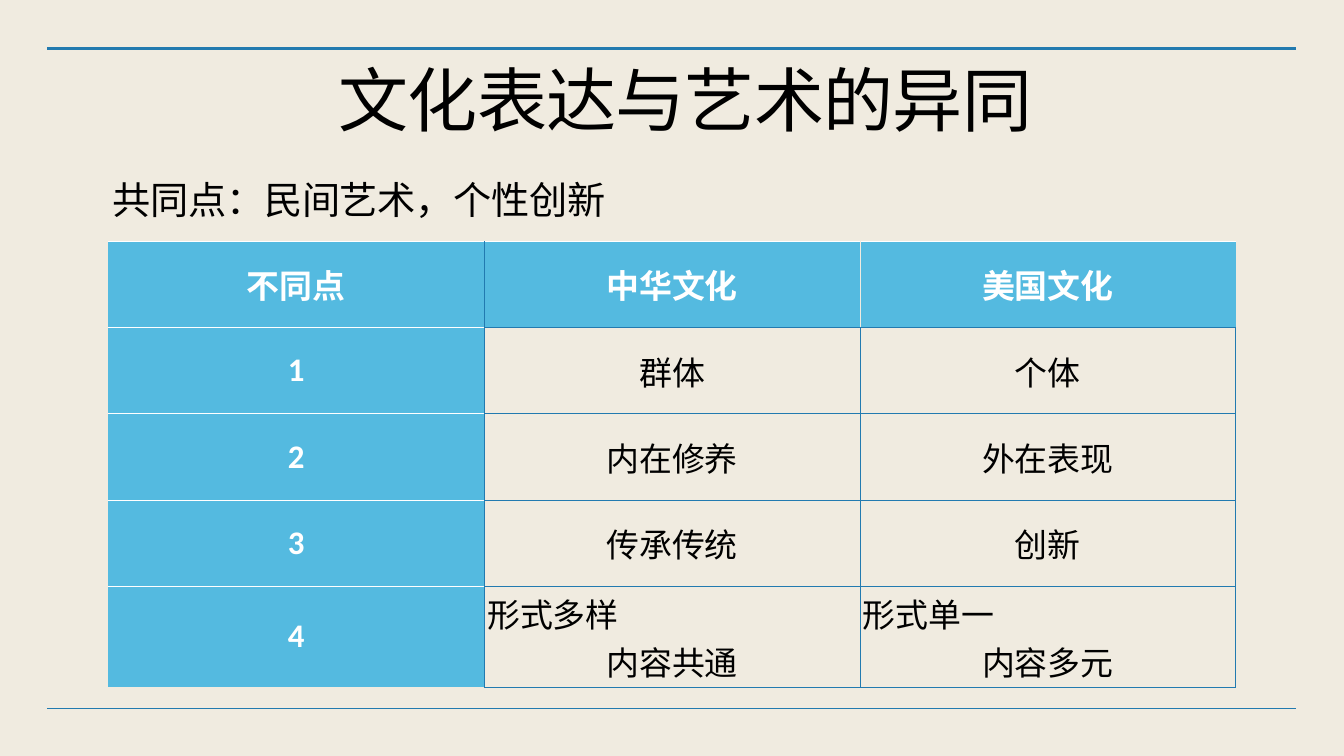
from lxml.etree import SubElement
from pptx import Presentation
from pptx.dml.color import RGBColor
from pptx.enum.lang import MSO_LANGUAGE_ID as Language
from pptx.enum.shapes import MSO_CONNECTOR as Connector
from pptx.enum.text import MSO_ANCHOR as Anchor, PP_ALIGN as Align
from pptx.oxml.ns import qn
from pptx.util import Pt

TITLE = "文化表达与艺术的异同"
COMMON = "共同点：民间艺术，个性创新"
ROWS = [
    ("不同点", "中华文化", "美国文化"),
    ("1", "群体", "个体"),
    ("2", "内在修养", "外在表现"),
    ("3", "传承传统", "创新"),
    ("4", "形式多样\n内容共通", "形式单一\n内容多元"),
]
RULES = [(69.84, 4), (1012.32, 1)]

PAPER, BLUE, SKY = "F0EBE0", "227AB0", "54BAE0"
WHITE, BLACK = "FFFFFF", "000000"
LEFT, INSET = 154.8, 4.32
TABLE_TOP, COLUMN_WIDTH = 344.88, 536.88
ROW_HEIGHT, TWO_LINE_HEIGHT = 123.12, 144


def color(value):
    return RGBColor.from_string(value)


def style(para, size, font, ink, bold=False, spacing=0, align=Align.CENTER):
    para.alignment = align
    for span in para.runs:
        span.font.size = Pt(size)
        span.font.name = font
        span.font.bold = bold
        span.font.color.rgb = color(ink)
        span.font.language_id = Language.SIMPLIFIED_CHINESE
        if spacing:
            span.font._element.set("spc", str(int(spacing * 100)))


def set_margins(target):
    target.margin_left = target.margin_right = Pt(INSET)
    target.margin_top = target.margin_bottom = Pt(INSET)


def add_text(page, text, place, size, font, spacing, line_spacing):
    box = page.shapes.add_textbox(*map(Pt, place))
    frame = box.text_frame
    frame.word_wrap = True
    set_margins(frame)
    frame.text = text
    para = frame.paragraphs[0]
    para.line_spacing = line_spacing
    style(para, size, font, BLACK, spacing=spacing)
    return frame


def add_rule(page, y, width):
    rule = page.shapes.add_connector(
        Connector.STRAIGHT, Pt(67.68), Pt(y), Pt(1851.84), Pt(y))
    rule.line.color.rgb = color("227AAF")
    rule.line.width = Pt(width)
    SubElement(rule._element.spPr, qn("a:effectLst"))


def set_borders(cell, borders):
    properties = cell._tc.get_or_add_tcPr()
    for side, border in zip("LRTB", borders):
        line = SubElement(properties, qn(f"a:ln{side}"))
        if border:
            ink, width = border
            line.set("w", str(Pt(width)))
            fill = SubElement(line, qn("a:solidFill"))
            SubElement(fill, qn("a:srgbClr")).set("val", ink)
        else:
            SubElement(line, qn("a:noFill"))


def cell_borders(row, column):
    thin, thick = (BLUE, 1), (BLUE, 2)
    white, pale = (WHITE, 1), (PAPER, 1)
    if column == 0:
        last = row == len(ROWS) - 1
        return None, thick, white, None if last else white
    if row == 0:
        return (thick, pale, white, thick) if column == 1 else (pale, None, white, thick)
    return (thick if column == 1 else thin), thin, (thick if row == 1 else thin), thin


def row_height(texts):
    return TWO_LINE_HEIGHT if any("\n" in text for text in texts) else ROW_HEIGHT


def add_comparison(page):
    count = len(ROWS[0])
    frame = page.shapes.add_table(
        len(ROWS), count, Pt(LEFT), Pt(TABLE_TOP),
        Pt(COLUMN_WIDTH * count), Pt(sum(map(row_height, ROWS))))
    table = frame.table
    for column in table.columns:
        column.width = Pt(COLUMN_WIDTH)
    for row, texts in enumerate(ROWS):
        table.rows[row].height = Pt(row_height(texts))
        for column, text in enumerate(texts):
            cell = table.cell(row, column)
            heading = row == 0 or column == 0
            set_borders(cell, cell_borders(row, column))
            if heading:
                cell.fill.solid()
                cell.fill.fore_color.rgb = color(SKY)
            else:
                cell.fill.background()
            set_margins(cell)
            cell.vertical_anchor = Anchor.MIDDLE
            cell.text_frame.text = text
            paras = cell.text_frame.paragraphs
            for para in paras:
                opening = len(paras) > 1 and para is paras[0]
                style(para, 47, "Calibri", WHITE if heading else BLACK, bold=heading,
                      align=Align.LEFT if opening else Align.CENTER)


def main():
    deck = Presentation()
    deck.slide_width, deck.slide_height = Pt(1920), Pt(1080)
    page = deck.slides.add_slide(deck.slide_layouts[6])
    page.background.fill.solid()
    page.background.fill.fore_color.rgb = color(PAPER)
    for y, width in RULES:
        add_rule(page, y, width)
    add_text(page, TITLE, (LEFT, 109.44, 1648, 254), 100, "Noto Sans CJK SC", -1, 0.7)
    common = add_text(page, COMMON, (LEFT, 255.6, 1498.32, 89.28), 54.6,
                      "Times New Roman", -0.5, 0.9)
    columns = common._txBody.bodyPr
    columns.set("numCol", "2")
    columns.set("spcCol", str(Pt(74.88)))
    add_comparison(page)
    deck.save("out.pptx")


if __name__ == "__main__":
    main()
